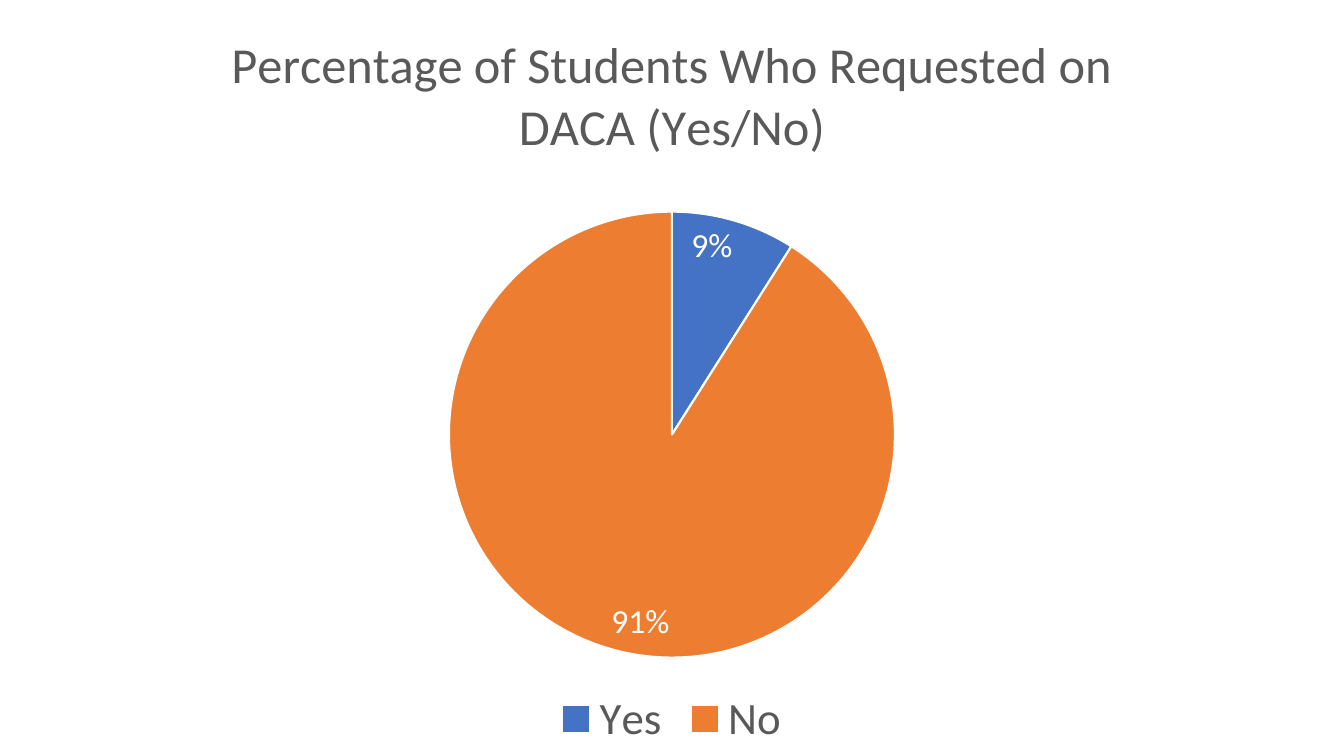
import pptx
import pptx.util
import pptx.chart.data
import pptx.dml.color
import pptx.enum.chart
import lxml.etree

Pt = pptx.util.Pt
FACE = "Calibri"
GREY, WHITE = "595959", "FFFFFF"

# Content
TITLE = "Percentage of Students Who Requested on DACA (Yes/No)"
PARTS = [("Yes", 9, "4472C4"), ("No", 91, "ED7D31")]
FRAME = (29, 0, 902, 540)  # left, top, width, height
PIE = {"x": 0.32, "y": 0.28, "w": 0.36, "h": 0.59}  # shares of the frame


def color(text):
    return pptx.dml.color.RGBColor.from_string(text)


def style(font, size, hue):
    font.name, font.size, font.bold = FACE, Pt(size), False
    font.color.rgb = color(hue)


deck = pptx.Presentation()
deck.slide_width, deck.slide_height = Pt(960), Pt(540)
slide = deck.slides.add_slide(deck.slide_layouts[6])

# Pie chart
data = pptx.chart.data.CategoryChartData()
data.categories = [name for name, _, _ in PARTS]
data.add_series("Series 1", [share for _, share, _ in PARTS])
kinds = pptx.enum.chart
chart = slide.shapes.add_chart(
    kinds.XL_CHART_TYPE.PIE, *map(Pt, FRAME), data).chart
style(chart.font, 10, "000000")

# Title
chart.has_title = True
chart.chart_title.include_in_layout = False
frame = chart.chart_title.text_frame
frame.text = TITLE
style(frame.paragraphs[0].font, 36, GREY)

# Legend
chart.has_legend = True
chart.legend.position = kinds.XL_LEGEND_POSITION.BOTTOM
chart.legend.include_in_layout = False
style(chart.legend.font, 32, GREY)

# Slices
plot = chart.plots[0]
plot.vary_by_categories = True
series = plot.series[0]
for spot, (_, _, hue) in enumerate(PARTS):
    form = series.points[spot].format
    form.fill.solid()
    form.fill.fore_color.rgb = color(hue)
    form.line.color.rgb = color(WHITE)
    form.line.width = Pt(1.5)

# Percent labels
labels = series.data_labels
labels.show_percentage = True
labels.show_value = False
labels.number_format, labels.number_format_is_linked = "0%", False
labels.position = kinds.XL_LABEL_POSITION.INSIDE_END
style(labels.font, 24, WHITE)

# Fixed place of the pie within the frame
area = chart._chartSpace.chart.plotArea
space = "{http://schemas.openxmlformats.org/drawingml/2006/chart}"
for old in area.findall(space + "layout"):
    area.remove(old)
layout = lxml.etree.Element(space + "layout")
area.insert(0, layout)
manual = lxml.etree.SubElement(layout, space + "manualLayout")
rules = [("layoutTarget", "inner"), ("xMode", "edge"), ("yMode", "edge")]
for tag, val in rules + list(PIE.items()):
    lxml.etree.SubElement(manual, space + tag).set("val", str(val))

deck.save("out.pptx")
